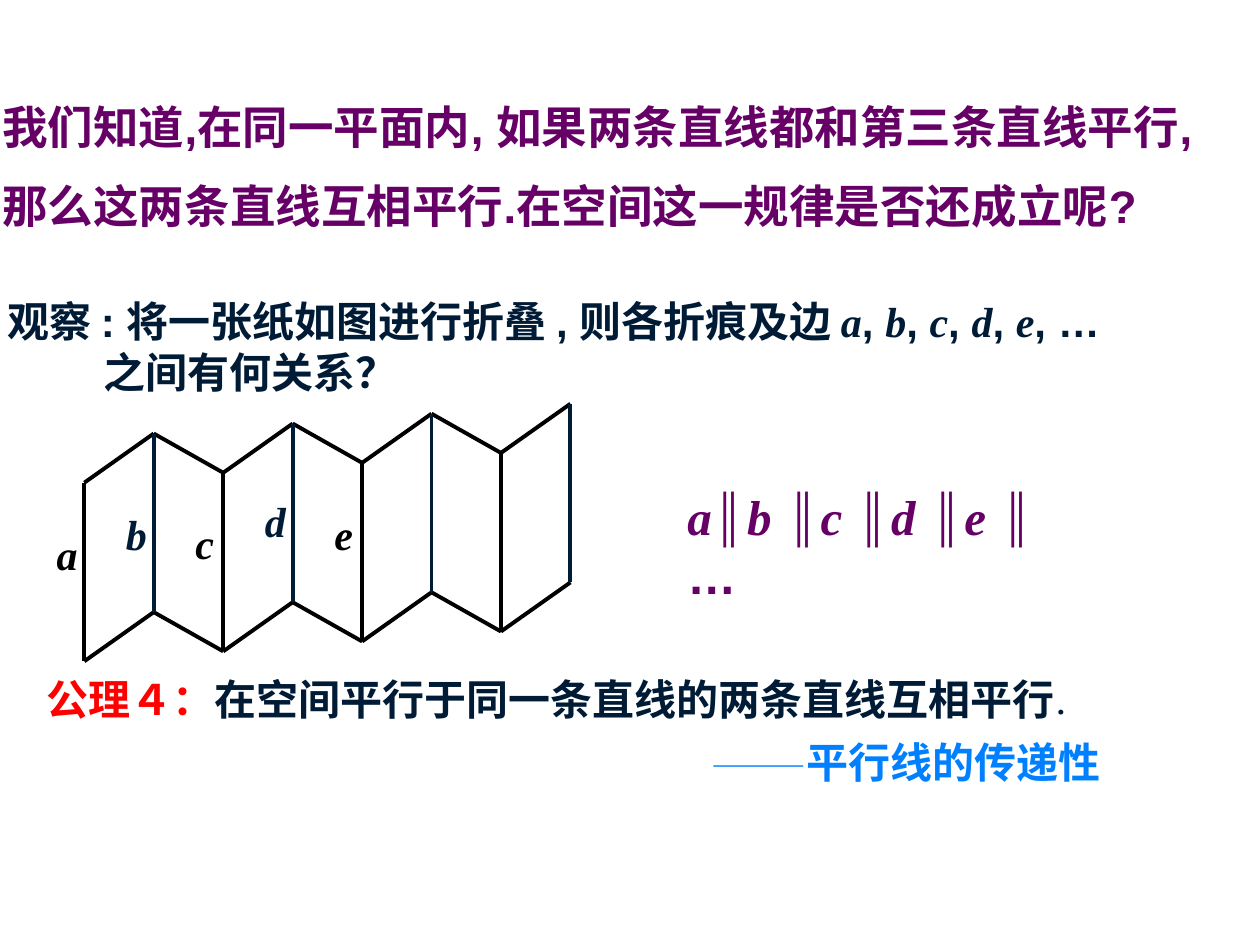
import dataclasses

import pptx
import pptx.dml.color
import pptx.enum.shapes
import pptx.enum.text
import pptx.oxml.ns
import pptx.util
from lxml import etree

Cm = pptx.util.Cm


@dataclasses.dataclass(frozen=True)
class Theme:
    black: str = "000000"
    navy: str = "001B36"
    purple: str = "660066"
    red: str = "FF0000"
    blue: str = "0080FF"
    text_font: str = "Arial"
    variable_font: str = "Times New Roman"
    lead: int = 26
    formula: int = 28
    body: int = 24
    dash: int = 18
    period: int = 14
    fold_line: float = 2.25


class SlideBuilder:
    def __init__(self, slide, theme):
        self.slide = slide
        self.theme = theme

    def add_group(self):
        return self.slide.shapes.add_group_shape()

    def add_line(self, shapes, start, end, color):
        line = shapes.add_connector(
            pptx.enum.shapes.MSO_CONNECTOR.STRAIGHT,
            *(Cm(value) for value in (*start, *end)),
        )
        line.line.color.rgb = pptx.dml.color.RGBColor.from_string(color)
        line.line.width = pptx.util.Pt(self.theme.fold_line)
        properties = line._element.spPr
        etree.SubElement(properties, pptx.oxml.ns.qn("a:effectLst"))

    def add_text(self, shapes, place, paragraphs, wrap=True, line_spacing=None):
        """Each paragraph is a list of (text, size, color) spans."""
        box = shapes.add_textbox(*(Cm(value) for value in place))
        frame = box.text_frame
        frame.word_wrap = wrap
        frame.auto_size = pptx.enum.text.MSO_AUTO_SIZE.SHAPE_TO_FIT_TEXT
        for number, spans in enumerate(paragraphs):
            para = frame.add_paragraph() if number else frame.paragraphs[0]
            para.line_spacing = line_spacing
            for span in spans:
                self.add_span(para, *span)
        return box

    def add_span(self, para, text, size, color):
        """Single letters are variables, set in italic serif."""
        is_variable = text in tuple("abcde")
        span = para.add_run()
        span.text = text
        font = span.font
        font.name = self.theme.variable_font if is_variable else self.theme.text_font
        font.size = pptx.util.Pt(size)
        font.bold = True
        font.italic = is_variable
        font.color.rgb = pptx.dml.color.RGBColor.from_string(color)


def add_folded_paper(builder):
    theme = builder.theme
    group = builder.add_group()
    colors = (theme.black, theme.navy)
    pitch, height = 1.4, 3.6
    tops = [
        (1.7 + pitch * fold, (8.84 if fold % 2 else 9.73) - 0.1 * fold)
        for fold in range(8)
    ]
    bottoms = [(x, y + height) for x, y in tops]

    for edge in (tops, bottoms):
        for start, end in zip(edge, edge[1:]):
            builder.add_line(group.shapes, start, end, theme.black)
    for fold, (top, bottom) in enumerate(zip(tops, bottoms)):
        builder.add_line(group.shapes, top, bottom, colors[fold % 2])

    label_tops = (10.52, 10.13, 10.31, 9.86, 10.13)
    for fold, (letter, top) in enumerate(zip("abcde", label_tops)):
        builder.add_text(
            group.shapes,
            (0.89 + pitch * fold, top, 1.2, 1.27),
            [[(letter, theme.body, colors[fold % 2])]],
        )


def main():
    theme = Theme()
    deck = pptx.Presentation()
    deck.slide_width, deck.slide_height = Cm(25.4), Cm(19.05)
    slide = deck.slides.add_slide(deck.slide_layouts.get_by_name("Blank"))
    builder = SlideBuilder(slide, theme)
    shapes = slide.shapes

    add_folded_paper(builder)

    lead_lines = (
        "我们知道,在同一平面内, 如果两条直线都和第三条直线平行,",
        "那么这两条直线互相平行.在空间这一规律是否还成立呢?",
    )
    builder.add_text(
        shapes,
        (-0.2, 1.37, 25.58, 3.45),
        [[(line, theme.lead, theme.purple)] for line in lead_lines],
        wrap=False,
        line_spacing=1.45,
    )

    question_parts = ["观察 : 将一张纸如图进行折叠 , 则各折痕及边 "]
    for letter in "abcde":
        question_parts += [letter, ", "]
    question_parts[-1] = ", …"
    question = builder.add_text(
        shapes,
        (-0.1, 5.84, 23.77, 2.29),
        [
            [(part, theme.body, theme.navy) for part in question_parts],
            [("之间有何关系？", theme.body, theme.navy)],
        ],
        wrap=False,
    )
    second_line = question.text_frame.paragraphs[1]
    second_line._p.get_or_add_pPr().set("marL", str(Cm(1.93)))

    formula_parts = ("a", "∥", "b", " ∥", "c", " ∥", "d", " ∥", "e", " ∥ …")
    builder.add_text(
        shapes,
        (13.61, 9.68, 8.76, 1.45),
        [[(part, theme.formula, theme.purple) for part in formula_parts]],
        wrap=False,
    )

    builder.add_text(
        shapes,
        (0.69, 13.46, 22, 1.27),
        [[
            ("公理４：", theme.body, theme.red),
            ("在空间平行于同一条直线的两条直线互相平行", theme.body, theme.navy),
            ("．", theme.period, theme.navy),
        ]],
    )
    builder.add_text(
        shapes,
        (14.1, 14.73, 8.99, 1.27),
        [[
            ("———", theme.dash, theme.blue),
            ("平行线的传递性", theme.body, theme.blue),
        ]],
    )

    deck.save("out.pptx")


if __name__ == "__main__":
    main()
